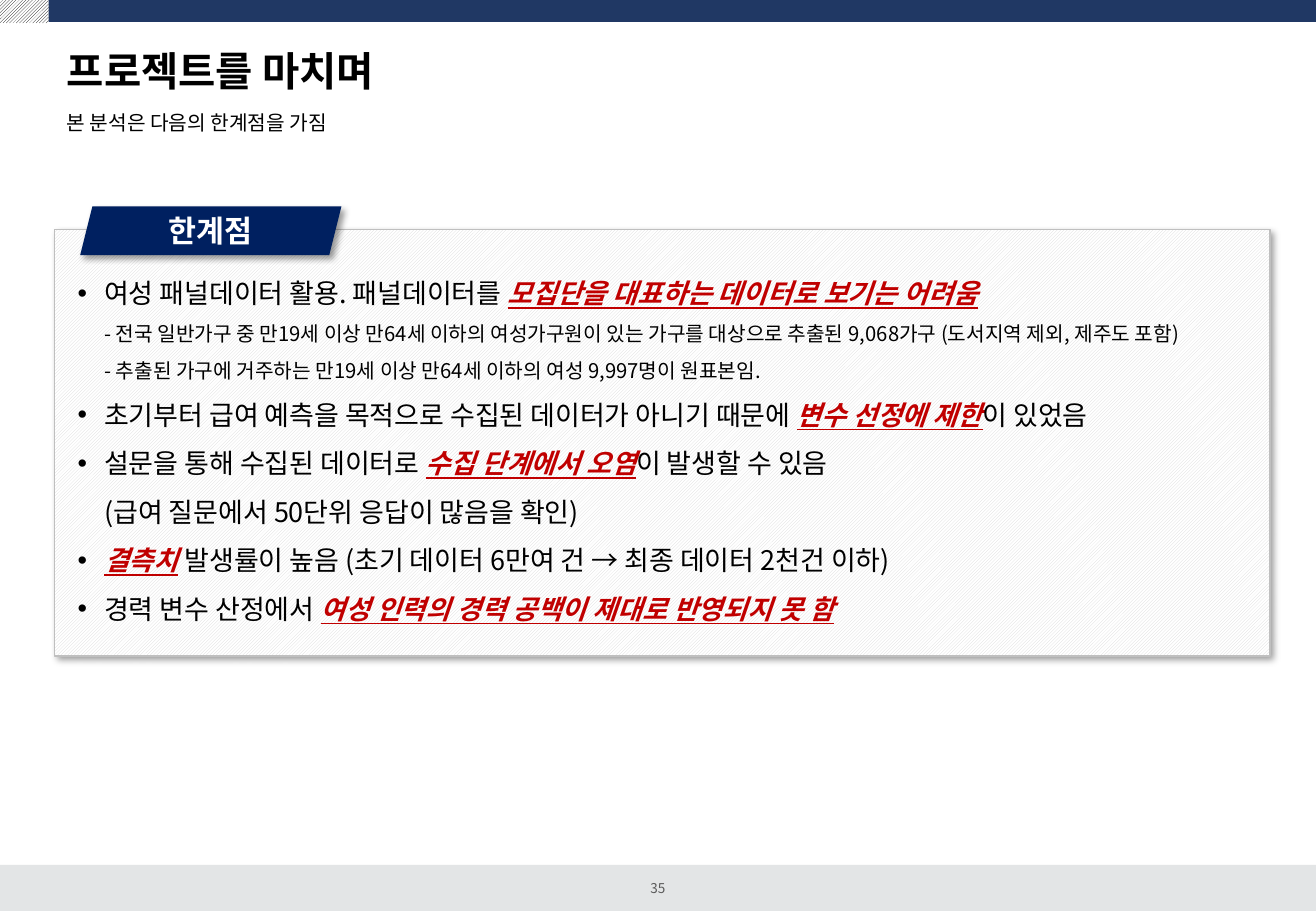
from dataclasses import dataclass

from lxml import etree
from pptx import Presentation
from pptx import util as u
from pptx.dml import color
from pptx.enum import dml, shapes, text
from pptx.oxml import ns


@dataclass(frozen=True)
class Theme:
    font: str = "Noto Sans CJK KR"
    ink: str = "000000"
    paper: str = "FFFFFF"
    accent: str = "C00000"
    band: str = "203864"
    tag: str = "002060"
    footer: str = "E3E5E6"
    page: str = "595959"
    border: str = "BFBFBF"
    hatch: str = "D9D9D9"
    title_size: int = 24
    tag_size: int = 18
    point_size: int = 16
    detail_size: int = 12
    page_size: int = 8


THEME = Theme()
WIDTH, HEIGHT = 10.83, 7.5
PLAIN, KEY, DETAIL, BREAK = "plain", "key", "detail", "break"

LIMITATIONS = [
    [(PLAIN, "여성 패널데이터 활용. 패널데이터를 "),
     (KEY, "모집단을 대표하는 데이터로 보기는 어려움"),
     (BREAK, THEME.point_size),
     (DETAIL, "- 전국 일반가구 중 만19세 이상 만64세 이하의 여성가구원이 있는 가구를 "
              "대상으로 추출된 9,068가구 (도서지역 제외, 제주도 포함)"),
     (BREAK, THEME.detail_size),
     (DETAIL, "- 추출된 가구에 거주하는 만19세 이상 만64세 이하의 여성 9,997명이 원표본임.")],
    [(PLAIN, "초기부터 급여 예측을 목적으로 수집된 데이터가 아니기 때문에 "),
     (KEY, "변수 선정에 제한"),
     (PLAIN, "이 있었음")],
    [(PLAIN, "설문을 통해 수집된 데이터로 "),
     (KEY, "수집 단계에서 오염"),
     (PLAIN, "이 발생할 수 있음"),
     (BREAK, THEME.point_size),
     (PLAIN, "(급여 질문에서 50단위 응답이 많음을 확인)")],
    [(KEY, "결측치"),
     (PLAIN, " 발생률이 높음 (초기 데이터 6만여 건 → 최종 데이터 2천건 이하)")],
    [(PLAIN, "경력 변수 산정에서 "),
     (KEY, "여성 인력의 경력 공백이 제대로 반영되지 못 함")],
]


def rgb(value):
    return color.RGBColor.from_string(value)


def add_xml(parent, tag, **attributes):
    return etree.SubElement(parent, ns.qn(tag), attributes)


def style_run(run, size, ink=THEME.ink, bold=False):
    run.font.size = u.Pt(size)
    run.font.name = THEME.font
    run.font.bold = bold
    run.font.color.rgb = rgb(ink)
    add_xml(run.font._element, "a:ea", typeface=THEME.font)


def place(part, box):
    part.left, part.top, part.width, part.height = map(u.Inches, box)


def add_block(slide, kind, box, fill=None, hatch=None):
    block = slide.shapes.add_shape(kind, *map(u.Inches, box))
    block.shadow.inherit = False
    block.line.fill.background()
    if hatch:
        pattern, stripe = hatch
        block.fill.patterned()
        block.fill.pattern = pattern
        block.fill.fore_color.rgb = rgb(stripe)
        block.fill.back_color.rgb = rgb(THEME.paper)
    else:
        block.fill.solid()
        block.fill.fore_color.rgb = rgb(fill)
    return block


def cast_shadow(block):
    effects = block._element.spPr.find(ns.qn("a:effectLst"))
    shadow = add_xml(effects, "a:outerShdw", blurRad=str(u.Pt(4)), dist=str(u.Pt(3)),
                     dir="2700000", algn="tl", rotWithShape="0")
    shade = add_xml(shadow, "a:srgbClr", val=THEME.ink)
    add_xml(shade, "a:alpha", val="40000")


def draw_frame(slide, box, page_number):
    left, top, width, height = box
    rectangle = shapes.MSO_SHAPE.RECTANGLE
    footer_height = 0.38
    add_block(slide, rectangle, (left, top + height - footer_height, width, footer_height), THEME.footer)
    add_block(slide, rectangle, (left, top, width, 0.18), THEME.band)
    add_block(slide, rectangle, (left, top, 0.4, 0.19),
              hatch=(dml.MSO_PATTERN.DARK_UPWARD_DIAGONAL, THEME.ink))
    number_width = 0.14
    number = slide.shapes.add_textbox(*map(u.Inches, (
        left + (width - number_width) / 2, top + height - 0.3, number_width, 0.24)))
    frame = number.text_frame
    frame.margin_left = frame.margin_right = 0
    frame.word_wrap = False
    frame.text = page_number
    frame.paragraphs[0].alignment = text.PP_ALIGN.CENTER
    style_run(frame.paragraphs[0].runs[0], THEME.page_size, THEME.page)


def write_heading(slide, box, title, subtitle):
    left, top, width, height = box
    heading, summary = slide.shapes.title, slide.placeholders[1]
    place(heading, (left, top, width, 0.61))
    place(summary, (left, top + 0.56, width, height - 0.56))
    rows = [(heading, title, THEME.title_size, True, 0.9, text.MSO_ANCHOR.MIDDLE),
            (summary, subtitle, THEME.detail_size, False, 1.0, text.MSO_ANCHOR.TOP)]
    for part, words, size, bold, spacing, anchor in rows:
        part.text_frame.text = words
        part.text_frame.vertical_anchor = anchor
        paragraph = part.text_frame.paragraphs[0]
        properties = paragraph._p.get_or_add_pPr()
        properties.set("marL", "0")
        properties.set("indent", "0")
        add_xml(properties, "a:buNone")
        paragraph.alignment = text.PP_ALIGN.LEFT
        paragraph.line_spacing = spacing
        paragraph.space_before = u.Pt(0)
        style_run(paragraph.runs[0], size, bold=bold)


def write_limitation(paragraph, pieces):
    properties = paragraph._p.get_or_add_pPr()
    properties.set("marL", str(u.Inches(0.31)))
    properties.set("indent", str(u.Inches(-0.22)))
    add_xml(add_xml(properties, "a:buClr"), "a:srgbClr", val=THEME.ink)
    add_xml(properties, "a:buFont", typeface="Arial")
    add_xml(properties, "a:buChar", char="•")
    paragraph.alignment = text.PP_ALIGN.LEFT
    paragraph.line_spacing = 1.5
    for role, content in pieces:
        if role == BREAK:
            paragraph.add_line_break()
            add_xml(paragraph._p[-1], "a:rPr", sz=str(content * 100))
            continue
        run = paragraph.add_run()
        run.text = content
        key = role == KEY
        style_run(run, THEME.detail_size if role == DETAIL else THEME.point_size,
                  THEME.accent if key else THEME.ink, key)
        run.font.italic = run.font.underline = key


def draw_limitations(slide, box, label, limitations):
    left, top, width, height = box
    panel = add_block(slide, shapes.MSO_SHAPE.RECTANGLE, box,
                      hatch=(dml.MSO_PATTERN.LIGHT_UPWARD_DIAGONAL, THEME.hatch))
    panel.line.color.rgb = rgb(THEME.border)
    panel.line.width = u.Pt(1)
    cast_shadow(panel)
    frame = panel.text_frame
    frame.word_wrap = True
    frame.vertical_anchor = text.MSO_ANCHOR.MIDDLE
    for index, pieces in enumerate(limitations):
        write_limitation(frame.add_paragraph() if index else frame.paragraphs[0], pieces)

    tag = add_block(slide, shapes.MSO_SHAPE.PARALLELOGRAM, (left + 0.21, top - 0.19, 2.15, 0.4), THEME.tag)
    cast_shadow(tag)
    tag.text_frame.text = label
    tag.text_frame.vertical_anchor = text.MSO_ANCHOR.MIDDLE
    tag.text_frame.paragraphs[0].alignment = text.PP_ALIGN.CENTER
    style_run(tag.text_frame.paragraphs[0].runs[0], THEME.tag_size, THEME.paper, True)


def main():
    deck = Presentation()
    deck.slide_width, deck.slide_height = u.Inches(WIDTH), u.Inches(HEIGHT)
    slide = deck.slides.add_slide(deck.slide_layouts[1])
    draw_frame(slide, (0, 0, WIDTH, HEIGHT), "35")
    write_heading(slide, (0.45, 0.3, 10, 1.4), "프로젝트를 마치며", "본 분석은 다음의 한계점을 가짐")
    draw_limitations(slide, (0.45, 1.89, 10, 3.51), "한계점", LIMITATIONS)
    deck.save("out.pptx")


if __name__ == "__main__":
    main()
